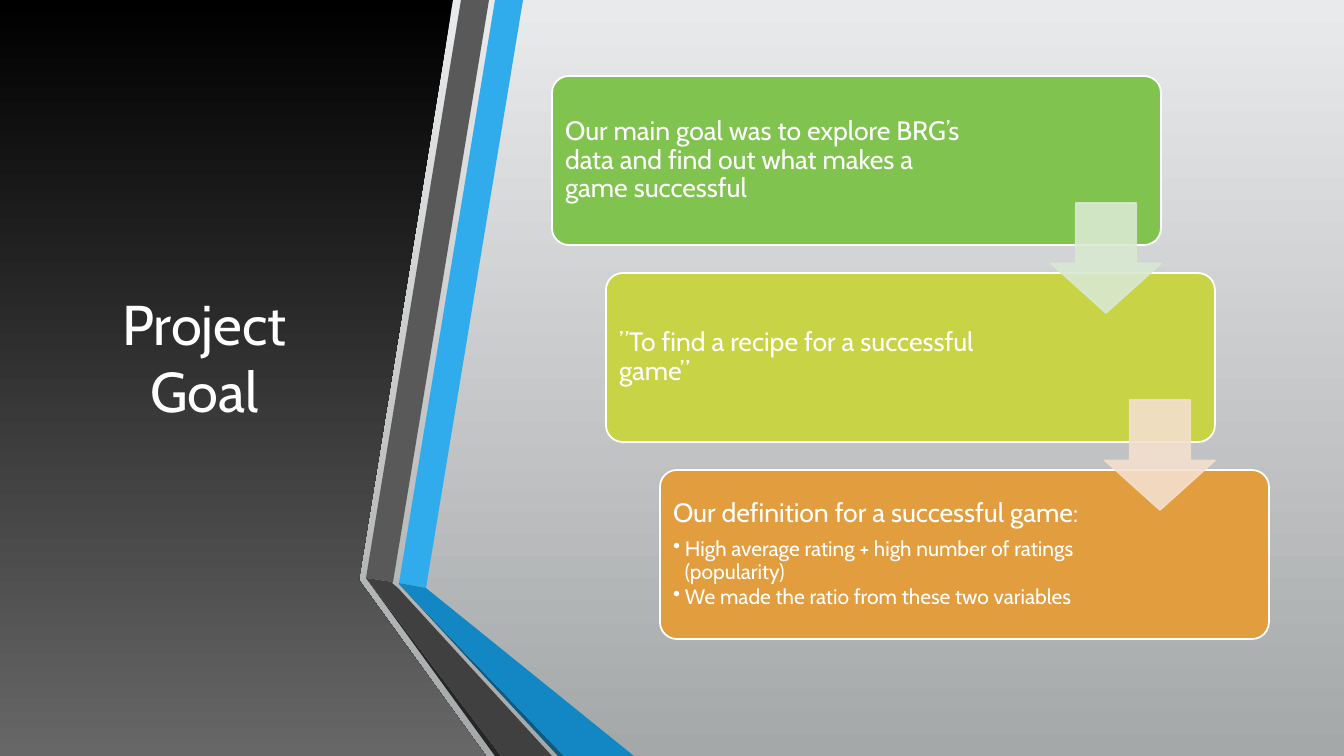
from lxml import etree
from pptx import Presentation
from pptx import util as u
from pptx.dml.color import RGBColor
from pptx.enum import shapes, text
from pptx.oxml.ns import qn

PX = 914400 / 100.8
WIDTH, HEIGHT = 1344, 756
FONT = "Cabin"
WHITE = "FFFFFF"
BACKDROP = ("E9EAEB", "A5A8A9")
PANEL = [(356, 0), (453, 0), (359, 580), (486, 756), (0, 756), (0, 0)]
RIBBONS = [
    ("30ACEC", [(399, 583), (426, 588), (523, 0), (495, 0)]),
    ("595959", [(489, 0), (461, 0), (366, 578), (393, 582)]),
    ("262626", [(366, 578), (495, 756), (501, 756)]),
    ("0C5A82", [(399, 584), (558, 756), (564, 756)]),
    ("1287C3", [(399, 584), (564, 756), (634, 756), (426, 588), (399, 583)]),
    ("404040", [(552, 756), (398, 588), (392, 583), (393, 582), (366, 578),
                (501, 756)]),
]
CARDS = [
    ("80C34F", 426, "Our main goal was to explore BRG’s data and find out "
     "what makes a game successful", []),
    ("C8D346", 435, "”To find a recipe for a successful game”", []),
    ("E29D3E", 435, "Our definition for a successful game:",
     ["High average rating + high number of ratings (popularity)",
      "We made the ratio from these two variables"]),
]
ARROWS = ["D8E9D0", "F4DFCE"]
CARD_W, CARD_H, ARROW = 609, 169, 110
STEP_X, STEP_Y = 54, 197


def px(n):
    """Turn pixels into EMU."""
    return u.Emu(round(n * PX))


def rgb(value):
    """Turn a hex string into a colour."""
    return RGBColor.from_string(value)


def paint(fill, *colors):
    """Fill with one colour, or with two blended from top to bottom."""
    if len(colors) == 1:
        fill.solid()
        fill.fore_color.rgb = rgb(colors[0])
        return
    fill.gradient()
    fill.gradient_angle = 270
    for stop, color in zip(fill.gradient_stops, colors):
        stop.color.rgb = rgb(color)


def style(sp, colors, line=None):
    """Set fill and outline of a shape and drop its shadow."""
    sp.shadow.inherit = False
    paint(sp.fill, *colors)
    if line:
        sp.line.color.rgb = rgb(line)
        sp.line.width = u.Pt(1.25)
    else:
        sp.line.fill.background()


def add_outline(s, points, *colors):
    """Draw a closed polygon."""
    builder = s.shapes.build_freeform(*points[0], scale=PX)
    builder.add_line_segments(points[1:], close=True)
    style(builder.convert_to_shape(), colors)


def add_preset(s, kind, box, colors, line=None, adjust=()):
    """Draw a preset shape with its adjustments."""
    sp = s.shapes.add_shape(kind, *map(px, box))
    style(sp, colors, line)
    for i, value in enumerate(adjust):
        sp.adjustments[i] = value
    return sp


def add_text(s, box):
    """Add a wrapping, vertically centred text box and return its frame."""
    tf = s.shapes.add_textbox(*map(px, box)).text_frame
    tf.word_wrap = True
    tf.vertical_anchor = text.MSO_ANCHOR.MIDDLE
    return tf


def write(p, words, size):
    """Write white text into a paragraph."""
    p.text = words
    p.font.size = u.Pt(size)
    p.font.name = FONT
    p.font.color.rgb = rgb(WHITE)


def add_bullet(tf, words):
    """Append a bulleted paragraph."""
    p = tf.add_paragraph()
    write(p, words, 15)
    p.level = 1
    p.line_spacing = 0.9
    p.space_after = u.Pt(2)
    pPr = p._p.get_or_add_pPr()
    pPr.set("marL", str(px(12)))
    pPr.set("indent", str(-px(12)))
    bullet = etree.Element(qn("a:buChar"), char="•")
    pPr.find(qn("a:defRPr")).addprevious(bullet)


def add_card(s, index, color, text_width, heading, bullets):
    """Add one step of the staircase with its text."""
    x, y = 552 + STEP_X * index, 76 + STEP_Y * index
    add_preset(s, shapes.MSO_SHAPE.ROUNDED_RECTANGLE, (x, y, CARD_W, CARD_H),
               [color], WHITE, [0.1])
    tf = add_text(s, (x + 5, y + 5, text_width, CARD_H - 10))
    tf.margin_left = tf.margin_right = px(8)
    tf.margin_top = tf.margin_bottom = px(8)
    p = tf.paragraphs[0]
    write(p, heading, 19)
    p.line_spacing = 0.9
    p.space_after = u.Pt(7)
    for words in bullets:
        add_bullet(tf, words)


def add_arrow(s, index, color):
    """Add a translucent arrow leading down to the next step."""
    box = (1051 + STEP_X * index, 203 + STEP_Y * index, ARROW, ARROW)
    sp = add_preset(s, shapes.MSO_SHAPE.DOWN_ARROW, box, [color], color,
                    [0.55, 0.45])
    for node in sp._element.spPr.iter(qn("a:srgbClr")):
        etree.SubElement(node, qn("a:alpha"), val="90000")


def main():
    """Build the slide and save it."""
    prs = Presentation()
    prs.slide_width, prs.slide_height = px(WIDTH), px(HEIGHT)
    s = prs.slides.add_slide(prs.slide_layouts[6])
    paint(s.background.fill, *BACKDROP)
    add_preset(s, shapes.MSO_SHAPE.RECTANGLE, (0, 0, WIDTH, HEIGHT), BACKDROP)
    add_outline(s, PANEL, "000000", "676767")
    title = add_text(s, (59, 76, 291, 562)).paragraphs[0]
    write(title, "Project Goal", 40)
    title.alignment = text.PP_ALIGN.CENTER
    for color, points in RIBBONS:
        add_outline(s, points, color)
    for i, card in enumerate(CARDS):
        add_card(s, i, *card)
    for i, color in enumerate(ARROWS):
        add_arrow(s, i, color)
    prs.save("out.pptx")


if __name__ == "__main__":
    main()
